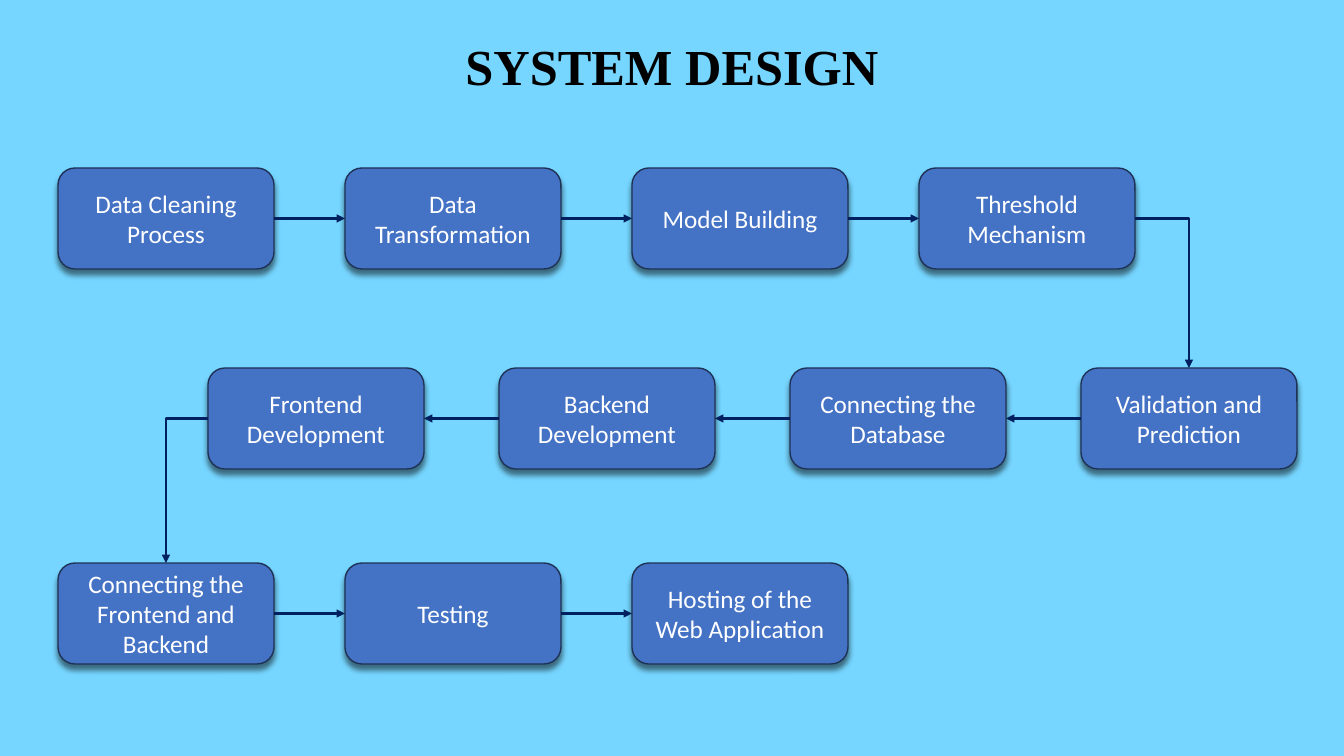
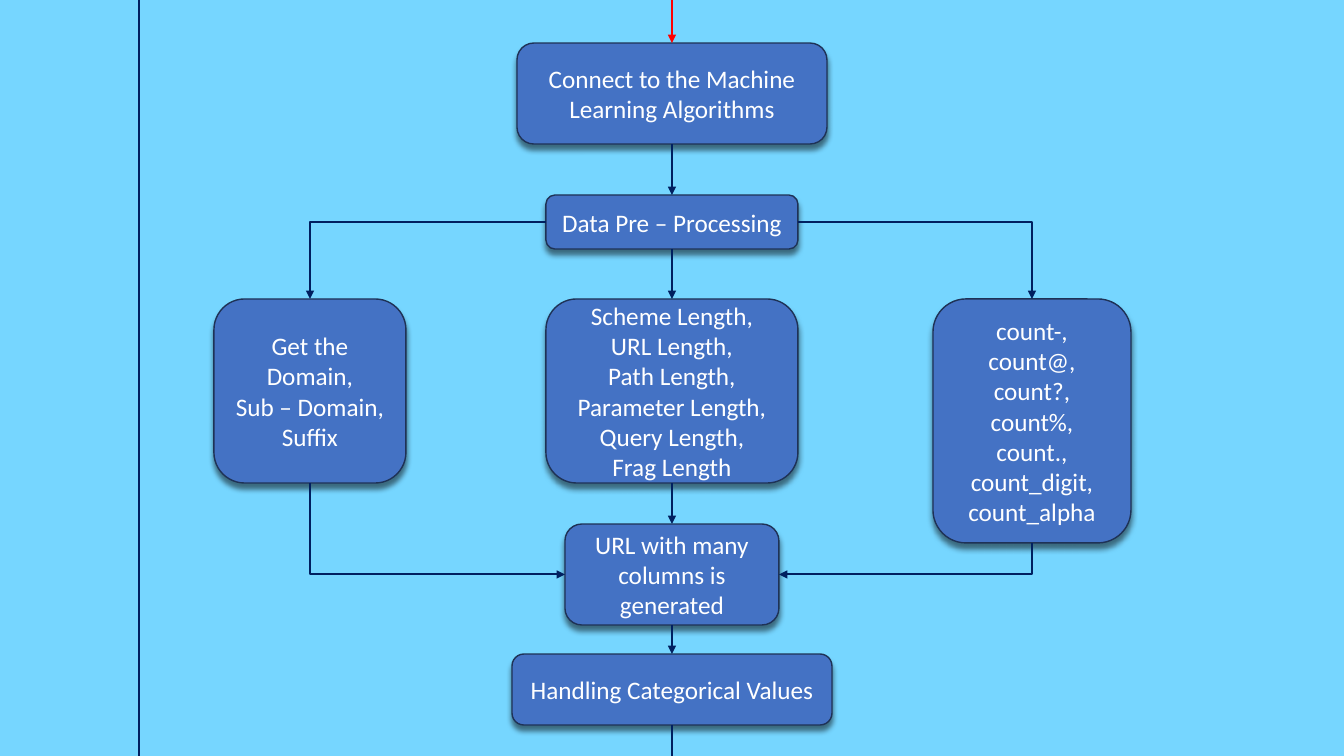
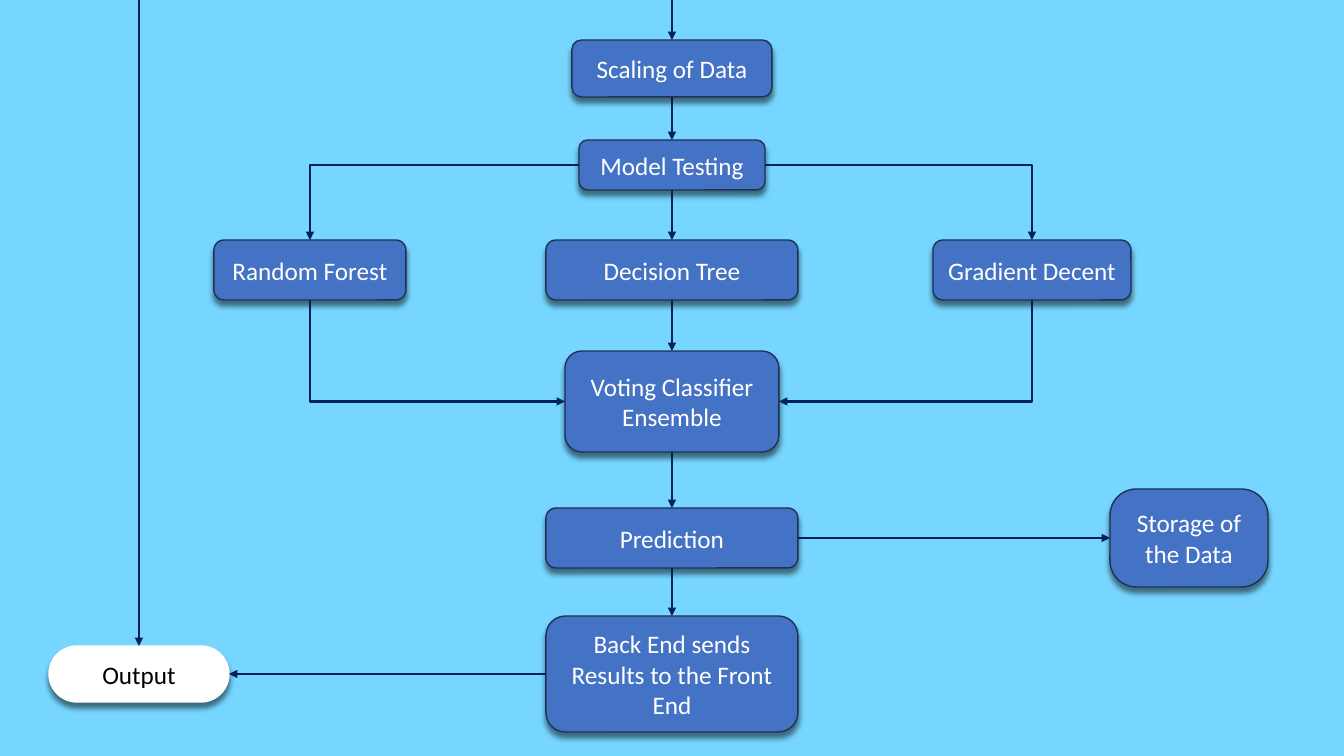
import pptx
import pptx.util
import pptx.dml.color
import pptx.enum.shapes
import pptx.enum.text
import pptx.oxml
import pptx.oxml.ns

PX = 914400 / 100.8
WIDTH, HEIGHT = 1344, 756
SKY, BLUE, EDGE, NAVY = "76D6FF", "4472C4", "1E3256", "002060"
WHITE, BLACK, RED = "FFFFFF", "000000", "FF0000"
TOP, LEFT, BOTTOM, RIGHT = range(4)
LEFT_X, MID_X, RIGHT_X, OUTPUT_X = 310, 672, 1032, 139

# Slide 1: rows of steps as first centre, pitch, top, texts
STEP_WIDTH, STEP_HEIGHT = 216, 101
DESIGN_TITLE = "SYSTEM DESIGN"
DESIGN_ROWS = [
    (166, 287, 168, ["Data Cleaning\nProcess", "Data Transformation",
                     "Model Building", "Threshold Mechanism"]),
    (1189, -291, 368, ["Validation and Prediction", "Connecting the Database",
                       "Backend Development", "Frontend Development"]),
    (166, 287, 563, ["Connecting the Frontend and Backend", "Testing",
                     "Hosting of the Web Application"]),
]

# Slides 2 and 3: boxes as text, centre x, top, width, height, extra format
FEATURE_BOXES = {
    "connect": ("Connect to the Machine Learning Algorithms", MID_X, 43, 310, 101),
    "prepare": ("Data Pre – Processing", MID_X, 195, 252, 54),
    "domain": ("Get the\vDomain,\vSub – Domain,\vSuffix", LEFT_X, 299, 192, 184),
    "lengths": ("Scheme Length,\vURL Length,\vPath Length,\vParameter Length,"
                "\vQuery Length,\vFrag Length", MID_X, 299, 252, 184),
    "counts": ("count-,\ncount@,\ncount?,\ncount%,\ncount.,\ncount_digit,\ncount_alpha",
               RIGHT_X, 299, 198, 244),
    "columns": ("URL with many columns is generated", MID_X, 524, 214, 101),
    "categories": ("Handling Categorical Values", MID_X, 654, 320, 71),
}
MODEL_BOXES = {
    "scaling": ("Scaling of Data", MID_X, 40, 200, 57),
    "testing": ("Model Testing", MID_X, 140, 186, 50),
    "forest": ("Random Forest", LEFT_X, 240, 192, 60),
    "tree": ("Decision Tree", MID_X, 240, 252, 60),
    "gradient": ("Gradient Decent", RIGHT_X, 240, 198, 60),
    "voting": ("Voting Classifier Ensemble", MID_X, 351, 214, 101),
    "prediction": ("Prediction", MID_X, 508, 252, 60),
    "storage": ("Storage of the Data", 1189, 489, 158, 98, {"rounding": 0.27}),
    "results": ("Back End sends Results to the Front End", MID_X, 616, 252, 116),
    "output": ("Output", OUTPUT_X, 646, 180, 56,
               {"rounding": 0.5, "fill": WHITE, "edge": WHITE, "color": BLACK}),
}


def fan(source, branches, target):
    """Links that split from source into three branches and meet in target."""
    left, middle, right = branches
    return [
        ((source, LEFT), (left, TOP)), ((source, BOTTOM), (middle, TOP)),
        ((source, RIGHT), (right, TOP)), ((left, BOTTOM), (target, LEFT)),
        ((middle, BOTTOM), (target, TOP)), ((right, BOTTOM), (target, RIGHT)),
    ]


# Links as start, end, extra format; an end is (box, side) or a point (x, y)
FEATURE_LINKS = [
    ((MID_X, 0), ("connect", TOP), {"color": RED}),
    (("connect", BOTTOM), ("prepare", TOP)),
    *fan("prepare", ("domain", "lengths", "counts"), "columns"),
    (("columns", BOTTOM), ("categories", TOP)),
    (("categories", BOTTOM), (MID_X, HEIGHT), {"arrow": False}),
    ((OUTPUT_X, 0), (OUTPUT_X, HEIGHT), {"arrow": False}),
]
MODEL_LINKS = [
    ((MID_X, 0), ("scaling", TOP)),
    (("scaling", BOTTOM), ("testing", TOP)),
    *fan("testing", ("forest", "tree", "gradient"), "voting"),
    (("voting", BOTTOM), ("prediction", TOP)),
    (("prediction", RIGHT), ("storage", LEFT)),
    (("prediction", BOTTOM), ("results", TOP)),
    (("results", LEFT), ("output", RIGHT)),
    ((OUTPUT_X, 0), ("output", TOP)),
]


def px(*lengths):
    return [pptx.util.Emu(round(length * PX)) for length in lengths]


def rgb(value):
    return pptx.dml.color.RGBColor.from_string(value)


def xml(tag, inner="", **attributes):
    """Make one drawing element."""
    listed = "".join(f' {key}="{value}"' for key, value in attributes.items())
    space = pptx.oxml.ns.nsdecls("a")
    return pptx.oxml.parse_xml(f"<a:{tag} {space}{listed}>{inner}</a:{tag}>")


def write(shape, text, font="Calibri", size=18, color=WHITE, bold=False, wrap=True):
    frame = shape.text_frame
    frame.text = text
    frame.word_wrap = wrap
    frame.auto_size = pptx.enum.text.MSO_AUTO_SIZE.NONE
    frame.vertical_anchor = pptx.enum.text.MSO_ANCHOR.MIDDLE
    for para in frame.paragraphs:
        para.alignment = pptx.enum.text.PP_ALIGN.CENTER
        for span in para.runs:
            span.font.name, span.font.size = font, pptx.util.Pt(size)
            span.font.bold = bold
            span.font.color.rgb = rgb(color)


def add_box(page, text, center, top, width, height, rounding=None,
            fill=BLUE, edge=EDGE, color=WHITE):
    box = page.shapes.add_shape(pptx.enum.shapes.MSO_SHAPE.ROUNDED_RECTANGLE,
                                *px(center - width / 2, top, width, height))
    if rounding is not None:
        box.adjustments[0] = rounding
    box.fill.solid()
    box.fill.fore_color.rgb = rgb(fill)
    box.line.color.rgb = rgb(edge)
    box.line.width = pptx.util.Pt(1)
    # Soft shadow straight below
    box.shadow.inherit = False
    tint = f'<a:srgbClr val="{BLACK}"><a:alpha val="50000"/></a:srgbClr>'
    effects = box._element.spPr.find(pptx.oxml.ns.qn("a:effectLst"))
    effects.append(xml("outerShdw", tint, blurRad=50800, dist=50800, dir=5400000,
                       algn="ctr", rotWithShape=0))
    write(box, text, color=color)
    return box


def locate(boxes, end):
    """Return the point of a link's end and the box it joins, if any."""
    if end[0] not in boxes:
        return px(*end), None
    box, side = boxes[end[0]], end[1]
    across = {LEFT: 0, RIGHT: box.width}.get(side, box.width // 2)
    down = {TOP: 0, BOTTOM: box.height}.get(side, box.height // 2)
    return (box.left + across, box.top + down), box


def add_link(page, boxes, start, end, color=NAVY, arrow=True):
    (start_point, start_box), (end_point, end_box) = locate(boxes, start), locate(boxes, end)
    bent = bool(start_box and end_box and start[1] % 2 != end[1] % 2)
    ends = [(start_point, start_box, start[1]), (end_point, end_box, end[1])]
    # An elbow runs sideways first, so one that leaves downwards is drawn backwards
    backwards = bent and start[1] in (TOP, BOTTOM)
    if backwards:
        ends.reverse()
    (first, first_box, first_side), (last, last_box, last_side) = ends
    kinds = pptx.enum.shapes.MSO_CONNECTOR
    link = page.shapes.add_connector(kinds.ELBOW if bent else kinds.STRAIGHT, *first, *last)
    if first_box:
        link.begin_connect(first_box, first_side)
    if last_box:
        link.end_connect(last_box, last_side)
    link.line.color.rgb = rgb(color)
    link.line.width = pptx.util.Pt(1.5)
    properties = link._element.spPr
    if bent:
        properties.find(pptx.oxml.ns.qn("a:prstGeom")).set("prst", "bentConnector2")
    if arrow:
        outline = properties.find(pptx.oxml.ns.qn("a:ln"))
        outline.append(xml("headEnd" if backwards else "tailEnd", type="triangle"))
    properties.append(xml("effectLst"))


def add_flow(page, box_rows, links):
    boxes = {}
    for name, (*place, last) in box_rows.items():
        extra = last if isinstance(last, dict) else {}
        boxes[name] = add_box(page, *(place if extra else [*place, last]), **extra)
    for start, end, *extra in links:
        add_link(page, boxes, start, end, **(extra[0] if extra else {}))


def design_flow():
    """Lay the steps out in rows and link each one to the next."""
    boxes, links, previous = {}, [], None
    for center, pitch, top, texts in DESIGN_ROWS:
        way_out, way_in = (RIGHT, LEFT) if pitch > 0 else (LEFT, RIGHT)
        for column, text in enumerate(texts):
            boxes[text] = (text, center + column * pitch, top, STEP_WIDTH, STEP_HEIGHT)
            if previous:
                links.append((previous, (text, way_in if column else TOP)))
            previous = (text, way_out)
    return boxes, links


def main():
    deck = pptx.Presentation()
    deck.slide_width, deck.slide_height = px(WIDTH, HEIGHT)
    backdrop = deck.slide_master.background.fill
    backdrop.solid()
    backdrop.fore_color.rgb = rgb(SKY)
    title_only, blank = deck.slide_layouts[5], deck.slide_layouts[6]

    # Slide 1: system design
    page = deck.slides.add_slide(title_only)
    title = page.shapes.title
    title.left, title.top, title.width, title.height = px(454, 29, 436, 72)
    write(title, DESIGN_TITLE, font="Times New Roman", size=36, color=BLACK,
          bold=True, wrap=False)
    add_flow(page, *design_flow())

    # Slides 2 and 3: feature and model flow
    for boxes, links in ((FEATURE_BOXES, FEATURE_LINKS), (MODEL_BOXES, MODEL_LINKS)):
        add_flow(deck.slides.add_slide(blank), boxes, links)

    deck.save("out.pptx")


if __name__ == "__main__":
    main()
